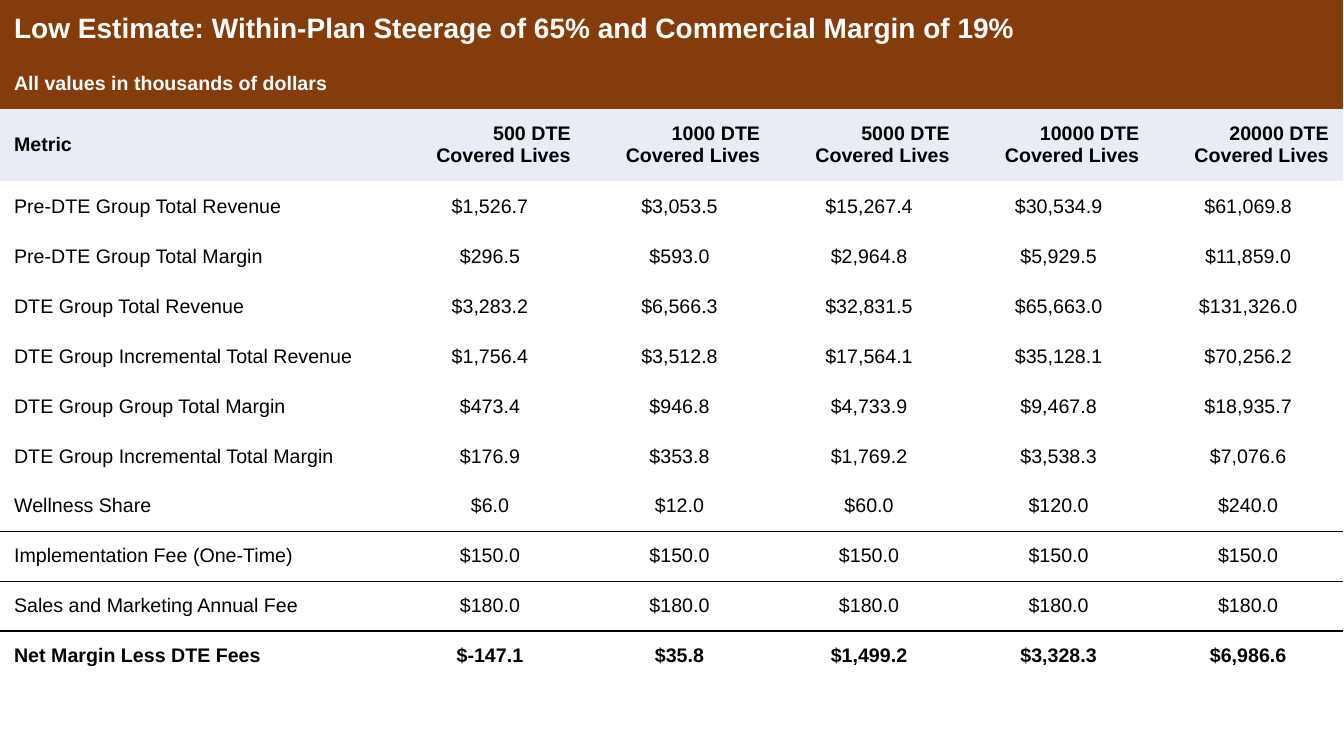
from lxml import etree
from pptx import Presentation
from pptx.dml.color import RGBColor
from pptx.enum.text import MSO_ANCHOR, PP_ALIGN
from pptx.oxml.ns import qn
from pptx.util import Inches, Pt

LEFT, MID, RIGHT = PP_ALIGN.LEFT, PP_ALIGN.CENTER, PP_ALIGN.RIGHT
CELL = {
    "margin_left": Inches(0.14),
    "margin_right": Inches(0.14),
    "margin_top": 0,
    "margin_bottom": 0,
    "vertical_anchor": MSO_ANCHOR.MIDDLE,
}
BROWN, PALE, BLACK, WHITE = "843C0C", "E7ECF5", "000000", "FFFFFF"
NO_GRID = "{2D5ABB26-0587-4C30-8999-92F81FD0307C}"

HEAD = [
    ["Low Estimate: Within-Plan Steerage of 65% and Commercial Margin of 19%"],
    ["All values in thousands of dollars"],
    ["Metric"] + [f"{n} DTE Covered Lives" for n in (500, 1000, 5000, 10000, 20000)],
]
BODY = [
    ("Pre-DTE Group Total Revenue", 1526.7, 3053.5, 15267.4, 30534.9, 61069.8),
    ("Pre-DTE Group Total Margin", 296.5, 593.0, 2964.8, 5929.5, 11859.0),
    ("DTE Group Total Revenue", 3283.2, 6566.3, 32831.5, 65663.0, 131326.0),
    ("DTE Group Incremental Total Revenue", 1756.4, 3512.8, 17564.1, 35128.1, 70256.2),
    ("DTE Group Group Total Margin", 473.4, 946.8, 4733.9, 9467.8, 18935.7),
    ("DTE Group Incremental Total Margin", 176.9, 353.8, 1769.2, 3538.3, 7076.6),
    ("Wellness Share", 6.0, 12.0, 60.0, 120.0, 240.0),
    ("Implementation Fee (One-Time)", 150.0, 150.0, 150.0, 150.0, 150.0),
    ("Sales and Marketing Annual Fee", 180.0, 180.0, 180.0, 180.0, 180.0),
    ("Net Margin Less DTE Fees", -147.1, 35.8, 1499.2, 3328.3, 6986.6),
]
ROWS = HEAD + [[name] + [f"${v:,.1f}" for v in vals] for name, *vals in BODY]
LAST = len(ROWS) - 1
RULES = {9: "a:lnB", 10: "a:lnT", 11: "a:lnB", 12: "a:lnT"}


def color(code):
    return RGBColor.from_string(code)


def rule(cell, tag):
    line = etree.Element(qn(tag), w=str(Pt(1)))
    fill = etree.SubElement(line, qn("a:solidFill"))
    etree.SubElement(fill, qn("a:srgbClr"), val=BLACK)
    cell._tc.get_or_add_tcPr().insert(0, line)


prs = Presentation()
prs.slide_width, prs.slide_height = Inches(13.33), Inches(7.5)
slide = prs.slides.add_slide(prs.slide_layouts[6])

frame = slide.shapes.add_table(len(ROWS), 6, 0, 0, prs.slide_width, Inches(6.76))
table = frame.table
table.first_row = table.horz_banding = False
table._tbl.tblPr.find(qn("a:tableStyleId")).text = NO_GRID

for col, wide in zip(table.columns, [3.92] + [1.88] * 5):
    col.width = Inches(wide)
tall = [Inches(0.58), Inches(0.5), Inches(0.72)] + [Inches(4.96) // 10] * len(BODY)
for row, high in zip(table.rows, tall):
    row.height = high
for r in range(2):
    table.cell(r, 0).merge(table.cell(r, 5))

for r, texts in enumerate(ROWS):
    for c, text in enumerate(texts):
        cell = table.cell(r, c)
        for key, val in CELL.items():
            setattr(cell, key, val)
        if r < 3:
            cell.fill.solid()
            cell.fill.fore_color.rgb = color(BROWN if r < 2 else PALE)
        else:
            cell.fill.background()
        if r in RULES:
            rule(cell, RULES[r])
        para = cell.text_frame.paragraphs[0]
        para.alignment = LEFT if c == 0 else RIGHT if r == 2 else MID
        run = para.add_run()
        run.text = text
        look = {"name": "Arial", "size": Pt(20 if r == 0 else 14), "bold": r < 3 or r == LAST}
        for key, val in look.items():
            setattr(run.font, key, val)
        run.font.color.rgb = color(WHITE if r < 2 else BLACK)

prs.save("out.pptx")
